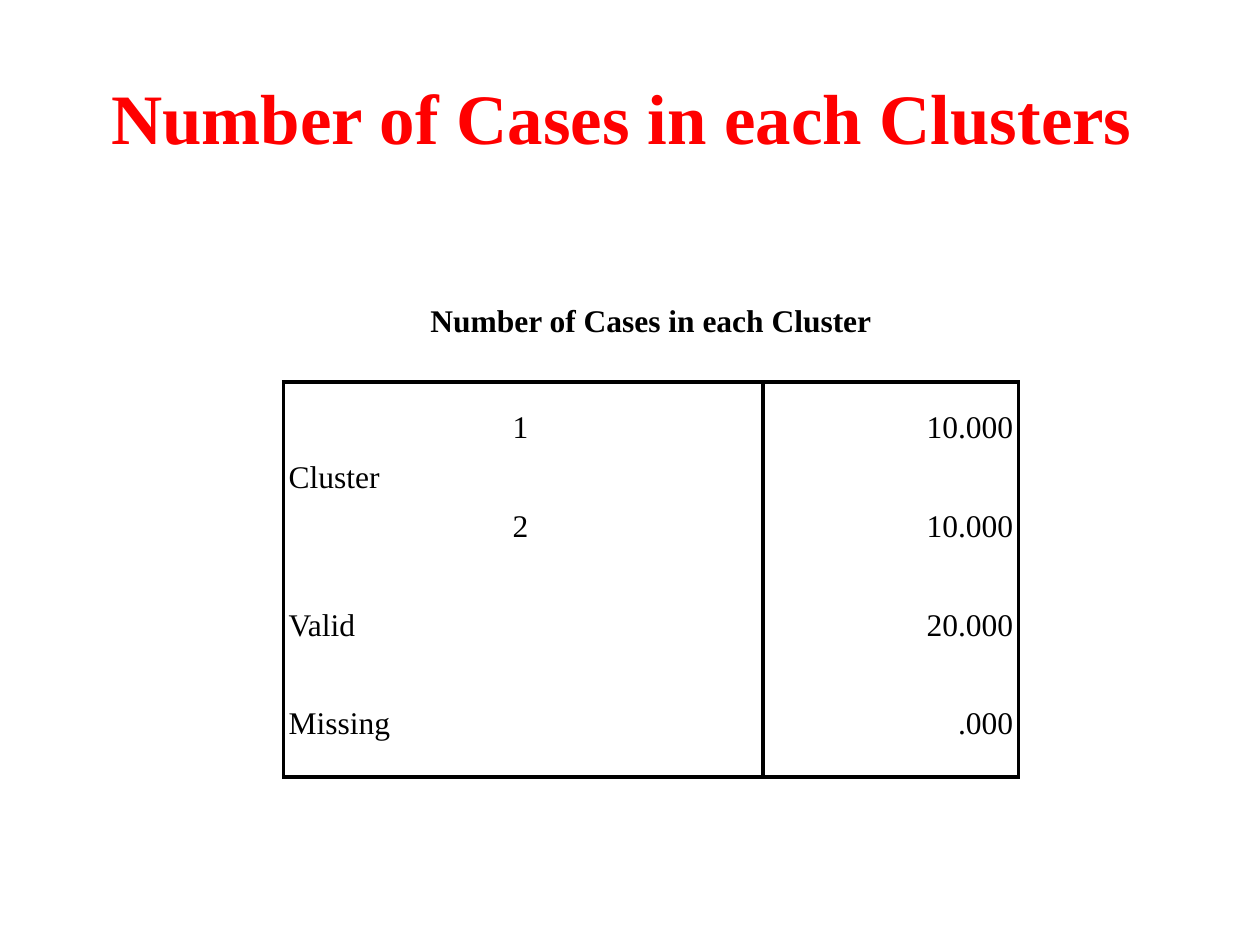
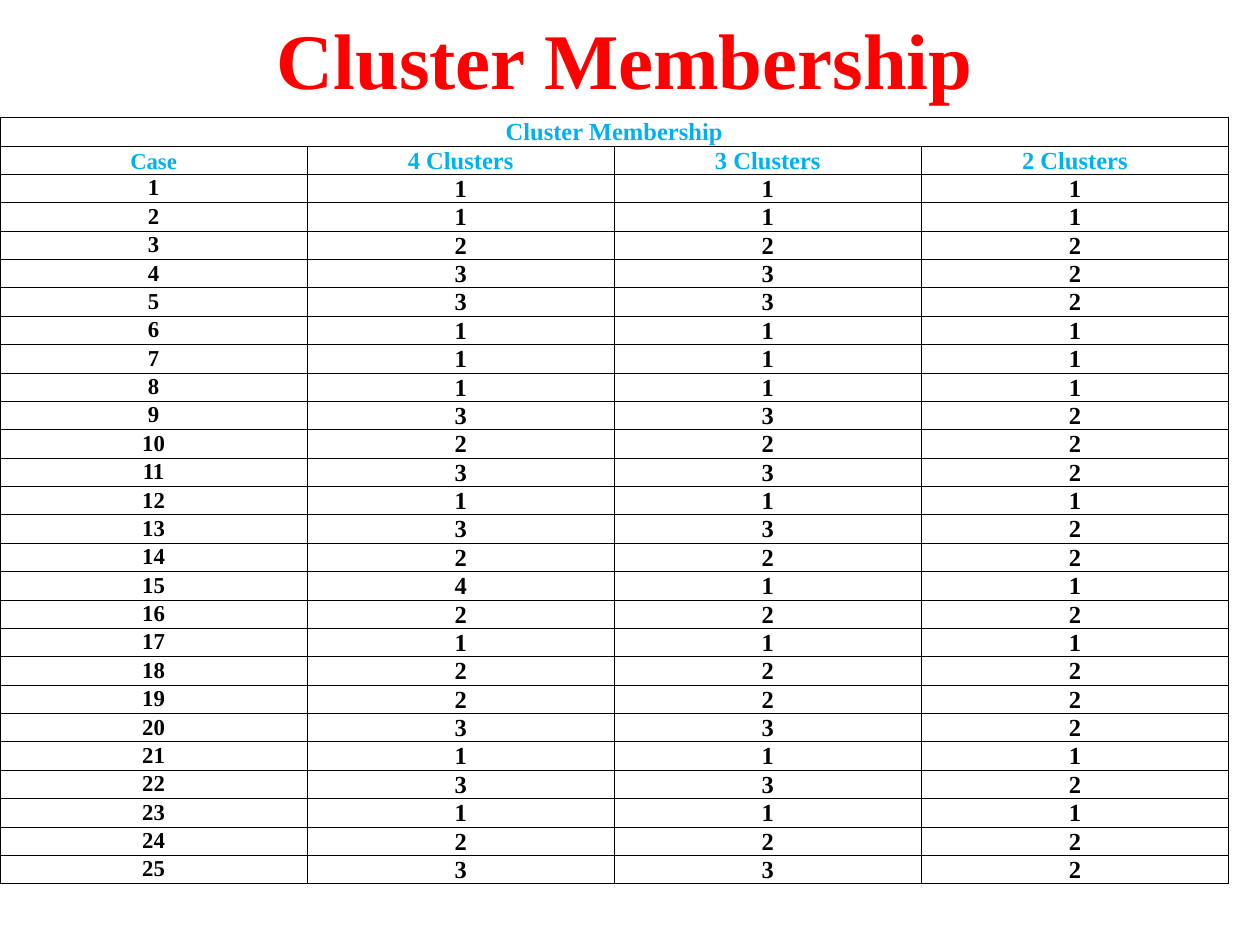
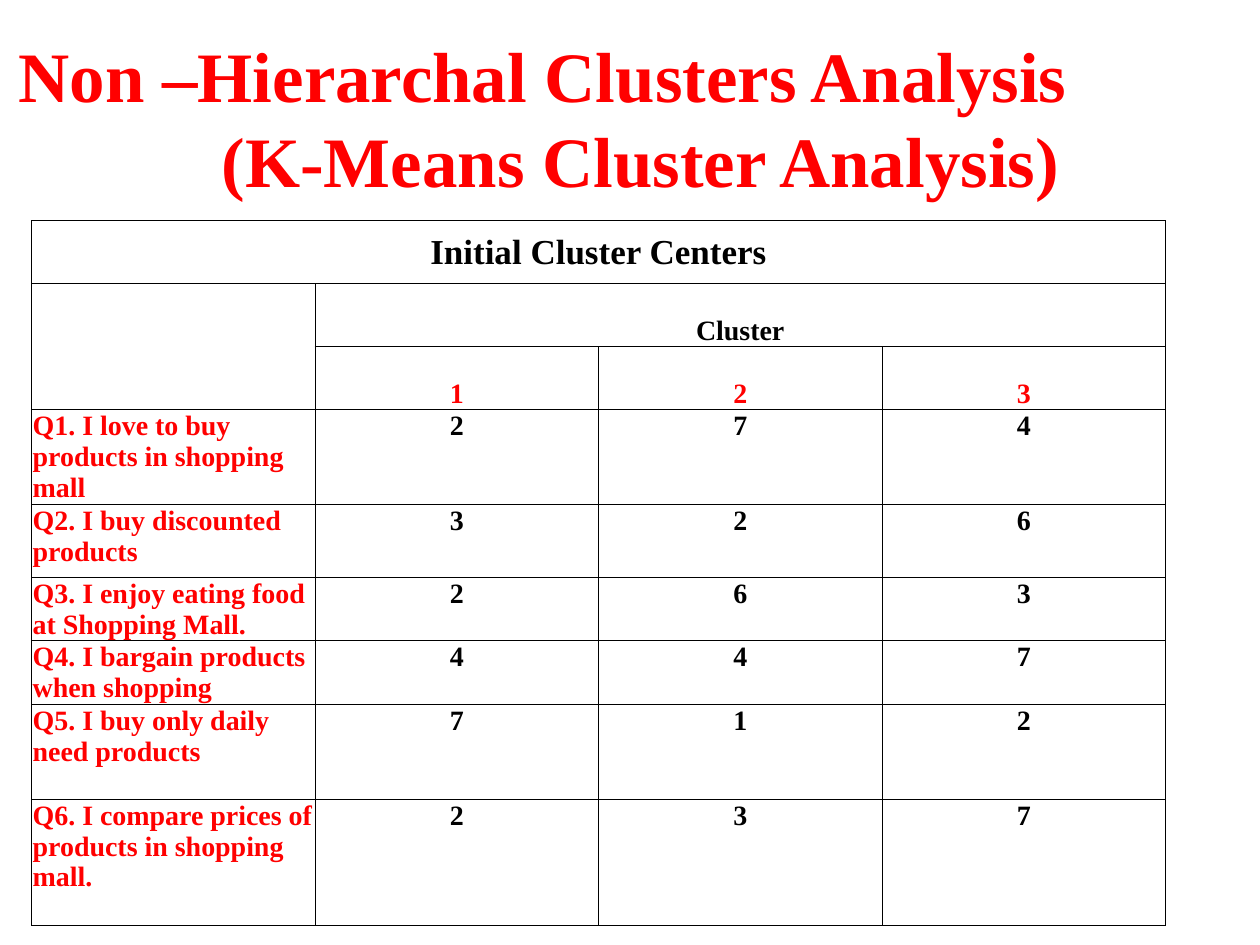
"""Build three slides about cluster analysis results."""
from lxml import etree
from pptx import Presentation
from pptx.dml.color import RGBColor
from pptx.enum.text import MSO_ANCHOR, PP_ALIGN
from pptx.oxml.ns import qn
from pptx.util import Pt

LEFT, CENTER, RIGHT = PP_ALIGN.LEFT, PP_ALIGN.CENTER, PP_ALIGN.RIGHT
TOP, MIDDLE, BOTTOM = MSO_ANCHOR.TOP, MSO_ANCHOR.MIDDLE, MSO_ANCHOR.BOTTOM
FONT = "Times New Roman"
RED, BLUE, BLACK, WHITE = "FF0000", "00B0F0", "000000", "FFFFFF"
ALL_SIDES = "LRTB"
color = RGBColor.from_string


def add_title(slide, box, lines, size, align=CENTER, margin_left=7.2, margin_right=7.2):
    """Add a red title; each line is a text and its left indent."""
    frame = slide.shapes.add_textbox(*map(Pt, box)).text_frame
    frame.word_wrap = True
    frame.vertical_anchor = MIDDLE
    frame.margin_left, frame.margin_right = Pt(margin_left), Pt(margin_right)
    for index, (text, indent) in enumerate(lines):
        paragraph = frame.paragraphs[0] if index == 0 else frame.add_paragraph()
        paragraph.text = text
        paragraph.alignment = align
        paragraph.line_spacing = Pt(size * 1.2)
        if indent:
            paragraph._p.get_or_add_pPr().set("marL", str(Pt(indent)))
        for name, value in {"name": FONT, "size": Pt(size), "bold": True}.items():
            setattr(paragraph.runs[0].font, name, value)
        paragraph.runs[0].font.color.rgb = color(RED)


def add_table(slide, corner, widths, heights, rows, merges, margins, line_width):
    """Add a table whose cells are pairs of text and format."""
    box = (*corner, sum(widths), sum(heights))
    table = slide.shapes.add_table(len(heights), len(widths), *map(Pt, box)).table
    table.first_row = table.horz_banding = False
    for column, width in zip(table.columns, widths):
        column.width = Pt(width)
    for table_row, height in zip(table.rows, heights):
        table_row.height = Pt(height)
    for row_index, row in enumerate(rows):
        for column_index, (text, style) in enumerate(row):
            cell = table.cell(row_index, column_index)
            for side, margin in {**margins, **style.get("margins", {})}.items():
                setattr(cell, f"margin_{side}", Pt(margin))
            cell.vertical_anchor = style["anchor"]
            properties = cell._tc.get_or_add_tcPr()
            for side in ALL_SIDES:
                line = etree.SubElement(properties, qn(f"a:ln{side}"), w=str(Pt(line_width)))
                if side in style["sides"]:
                    fill = etree.SubElement(line, qn("a:solidFill"))
                    etree.SubElement(fill, qn("a:srgbClr"), val=BLACK)
                else:
                    etree.SubElement(line, qn("a:noFill"))
            cell.fill.solid()
            cell.fill.fore_color.rgb = color(WHITE)
            paragraph = cell.text_frame.paragraphs[0]
            paragraph.text = text
            paragraph.alignment = style["align"]
            paragraph.line_spacing = Pt(style["spacing"])
            font = {"name": FONT, "size": Pt(style["size"]), "bold": style["bold"]}
            for name, value in font.items():
                setattr(paragraph.font, name, value)
                for run in paragraph.runs:
                    setattr(run.font, name, value)
            for run in paragraph.runs:
                run.font.color.rgb = color(style["color"])
    for first, last in merges:
        table.cell(*first).merge(table.cell(*last))


presentation = Presentation()
presentation.slide_width, presentation.slide_height = Pt(720), Pt(540)
blank = presentation.slide_layouts[6]
tight = {"left": 0.7, "right": 0.7, "top": 0.7, "bottom": 0}
grid = {"size": 16, "spacing": 17.7, "color": BLACK, "bold": True, "align": CENTER,
        "anchor": TOP, "sides": ALL_SIDES}

slide = presentation.slides.add_slide(blank)
add_title(slide, (36, 21.6, 648, 90), [("Number of Cases in each Clusters", 0)], 40.5, margin_right=16)
plain = {**grid, "size": 18, "bold": False, "spacing": 16, "anchor": MIDDLE, "align": LEFT}
caption = {**plain, "bold": True, "align": CENTER, "anchor": TOP, "sides": "B", "margins": {"top": 16}}
case_rows = [[("Number of Cases in each Cluster", caption), ("", caption), ("", caption)]]
counts = [("Cluster", "1", "10.000"), ("", "2", "10.000"), ("Valid", "", "20.000"), ("Missing", "", ".000")]
for index, texts in enumerate(counts):
    edge = {0: "T", len(counts) - 1: "B"}.get(index, "")
    label_edge = "L" + edge + ("R" if index > 1 else "")
    styles = [{**plain, "sides": label_edge}, {**plain, "sides": "R" + edge},
              {**plain, "sides": "LR" + edge, "align": RIGHT}]
    case_rows.append(list(zip(texts, styles)))
case_merges = [((0, 0), (0, 2)), ((1, 0), (2, 0)), ((3, 0), (3, 1)), ((4, 0), (4, 1))]
add_table(slide, (162, 162), [128, 146, 146], [56.4] * 5, case_rows, case_merges,
          {"left": 3, "right": 3, "top": 0, "bottom": 0}, 2.25)

slide = presentation.slides.add_slide(blank)
add_title(slide, (18, 0, 678, 66), [("Cluster Membership", 0)], 45)
member_style = {**grid, "size": 14, "spacing": 15.5}
case_style = {**member_style, "size": 13, "spacing": 14.4}
header = {**member_style, "color": BLUE, "anchor": BOTTOM}
heading = {**header, "anchor": MIDDLE}
case_header = {**case_style, "color": BLUE, "anchor": BOTTOM}
member_rows = [
    [("Cluster Membership", heading)] + [("", heading)] * 3,
    [("Case", case_header)] + [(f"{count} Clusters", header) for count in (4, 3, 2)],
]
memberships = (
    "111 111 222 332 332 111 111 111 332 222 332 111 332 "
    "222 411 222 111 222 222 332 111 332 111 222 332"
).split()
for case, members in enumerate(memberships, start=1):
    member_rows.append([(str(case), case_style)] + [(member, member_style) for member in members])
add_table(slide, (0, 67.2), [175.5] * 4, [16.2] * len(member_rows), member_rows,
          [((0, 0), (0, 3))], tight, 0.5)

slide = presentation.slides.add_slide(blank)
title_lines = [("Non –Hierarchal Clusters Analysis", 0), ("(K-Means Cluster Analysis)", 116)]
add_title(slide, (0, 21.6, 702, 90), title_lines, 40.5, LEFT, margin_left=10.6)
heading = {**grid, "size": 20, "spacing": 22.1, "anchor": MIDDLE}
header = {**grid, "anchor": BOTTOM}
number = {**header, "color": RED}
question_style = {**grid, "color": RED, "align": LEFT}
center_rows = [
    [("Initial Cluster Centers", heading)] + [("", heading)] * 3,
    [("", header), ("Cluster", header), ("", header), ("", header)],
    [("", header)] + [(text, number) for text in "123"],
]
questions = [
    ("Q1. I love to buy products in shopping mall", "274"),
    ("Q2. I buy discounted products", "326"),
    ("Q3. I enjoy eating food at Shopping Mall.", "263"),
    ("Q4. I bargain products when shopping", "447"),
    ("Q5. I buy only daily need products", "712"),
    ("Q6. I compare prices of products in shopping mall.", "237"),
]
for question, centers in questions:
    center_rows.append([(question, question_style)] + [(center, grid) for center in centers])
center_merges = [((0, 0), (0, 3)), ((1, 0), (2, 0)), ((1, 1), (1, 3))]
add_table(slide, (18, 126), [162] * 4, [36, 36, 36, 54.2, 41.8, 36.2, 36.2, 54.2, 72], center_rows,
          center_merges, tight, 0.5)

presentation.save("out.pptx")
